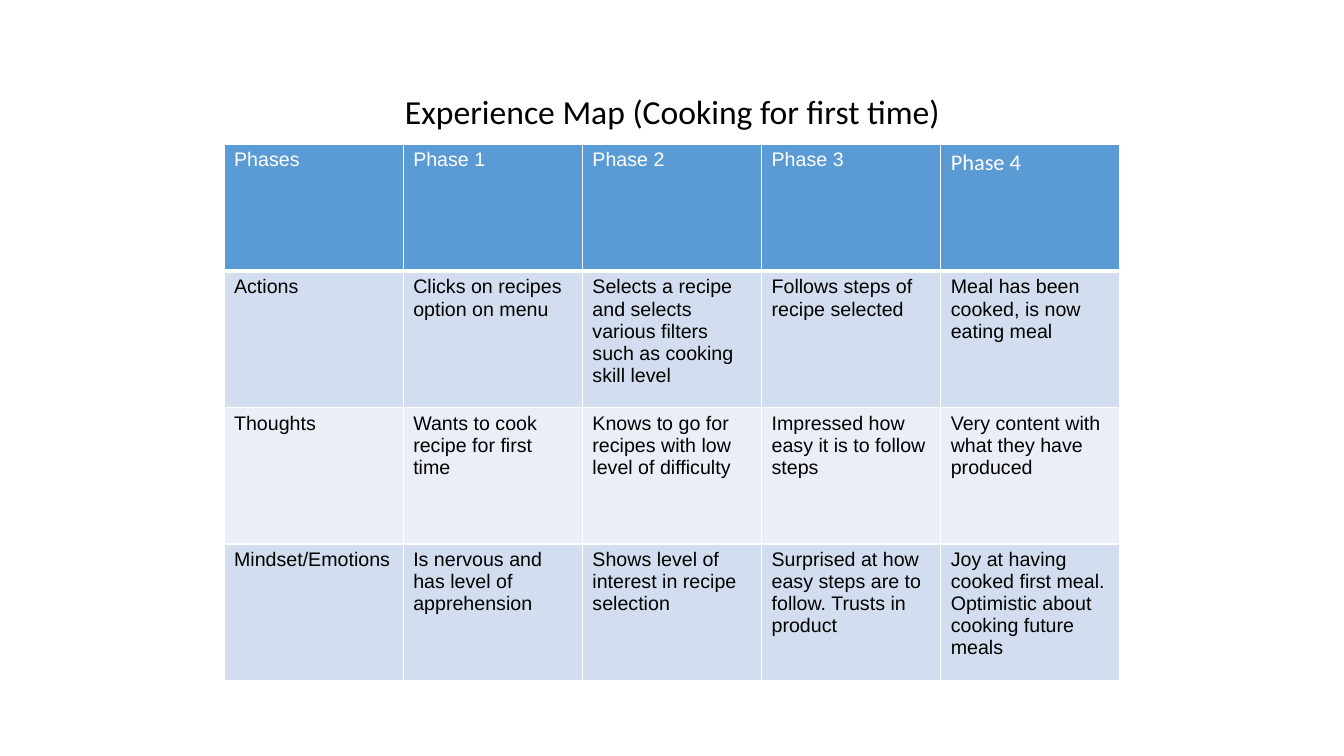
from dataclasses import dataclass

from lxml.etree import SubElement
from pptx import Presentation
from pptx.dml.color import RGBColor
from pptx.enum.text import MSO_ANCHOR, PP_ALIGN
from pptx.oxml.ns import qn
from pptx.util import Inches, Pt


@dataclass(frozen=True)
class Theme:
    """Colours, fonts and type sizes of the slide."""
    ink: str = "000000"
    paper: str = "FFFFFF"
    head: str = "5B9BD5"
    bands: tuple = ("D2DEEF", "EAEFF7")
    body: str = "Arial"
    title: str = "Calibri"
    small: int = 14
    mid: int = 16
    large: int = 24
    thin: int = 1
    thick: int = 3


def apply(item, form):
    """Set each attribute named in the format."""
    for name, value in form.items():
        setattr(item, name, value)


class Board:
    """Hold the theme and the current slide, and draw on it."""

    def __init__(self, deck, theme):
        """Add a blank slide to the deck."""
        self.theme = theme
        self.wide, self.high = deck.slide_width, deck.slide_height
        self.slide = deck.slides.add_slide(deck.slide_layouts[6])

    def place(self, left, top, width, height):
        """Turn shares of the slide into lengths."""
        return (int(left * self.wide), int(top * self.high),
                int(width * self.wide), int(height * self.high))

    def label(self, frame, text, size, font, color, **form):
        """Put one styled paragraph in a text frame."""
        para = frame.paragraphs[0]
        apply(para, form)
        run = para.add_run()
        run.text = text
        apply(run.font, {"size": Pt(size), "name": font})
        run.font.color.rgb = RGBColor.from_string(color)

    def title(self, text, area):
        """Draw the centred heading."""
        frame = self.slide.shapes.add_textbox(*self.place(*area)).text_frame
        apply(frame, {"word_wrap": True, "vertical_anchor": MSO_ANCHOR.MIDDLE})
        look = self.theme
        self.label(frame, text, look.large, look.title, look.ink,
                   alignment=PP_ALIGN.CENTER, line_spacing=0.9)

    def border(self, cell, sides):
        """Line the sides of a cell with the given widths."""
        props = cell._tc.get_or_add_tcPr()
        for side, width in sides.items():
            line = SubElement(props, qn(f"a:ln{side}"), w=str(Pt(width)))
            fill = SubElement(line, qn("a:solidFill"))
            SubElement(fill, qn("a:srgbClr"), val=self.theme.paper)

    def table(self, rows, area, first):
        """Draw a banded table whose head row has its own height."""
        look = self.theme
        place = self.place(*area)
        grid = self.slide.shapes.add_table(
            len(rows), len(rows[0]), *place).table
        head = int(first * self.high)
        rest = (place[3] - head) // (len(rows) - 1)
        for r, texts in enumerate(rows):
            grid.rows[r].height = rest if r else head
            for c, text in enumerate(texts):
                cell = grid.cell(r, c)
                self.border(cell, {
                    "L": look.thin, "R": look.thin,
                    "T": look.thick if r == 1 else look.thin,
                    "B": look.thin if r else look.thick})
                cell.fill.solid()
                fill = look.bands[(r - 1) % 2] if r else look.head
                cell.fill.fore_color.rgb = RGBColor.from_string(fill)
                last = r == 0 and c == len(texts) - 1
                self.label(cell.text_frame, text,
                           look.mid if last else look.small,
                           look.title if last else look.body,
                           look.ink if r else look.paper)


ROWS = [
    ["Phases", *(f"Phase {n}" for n in range(1, 5))],
    ["Actions", "Clicks on recipes option on menu",
     "Selects a recipe and selects various filters such as cooking skill level",
     "Follows steps of recipe selected",
     "Meal has been cooked, is now eating meal"],
    ["Thoughts", "Wants to cook recipe for first time",
     "Knows to go for recipes with low level of difficulty",
     "Impressed how easy it is to follow steps",
     "Very content with what they have produced"],
    ["Mindset/Emotions", "Is nervous and has level of apprehension",
     "Shows level of interest in recipe selection",
     "Surprised at how easy steps are to follow. Trusts in product",
     "Joy at having cooked first meal. Optimistic about cooking future meals"],
]

deck = Presentation()
apply(deck, {"slide_width": Inches(13.33), "slide_height": Inches(7.5)})
board = Board(deck, Theme())
board.title("Experience Map (Cooking for first time)",
            (0.92 / 13.33, 0.4 / 7.5, 11.5 / 13.33, 1.45 / 7.5))
board.table(ROWS, (1 / 6, 1.43 / 7.5, 2 / 3, 5.32 / 7.5), 1.26 / 7.5)
deck.save("out.pptx")
